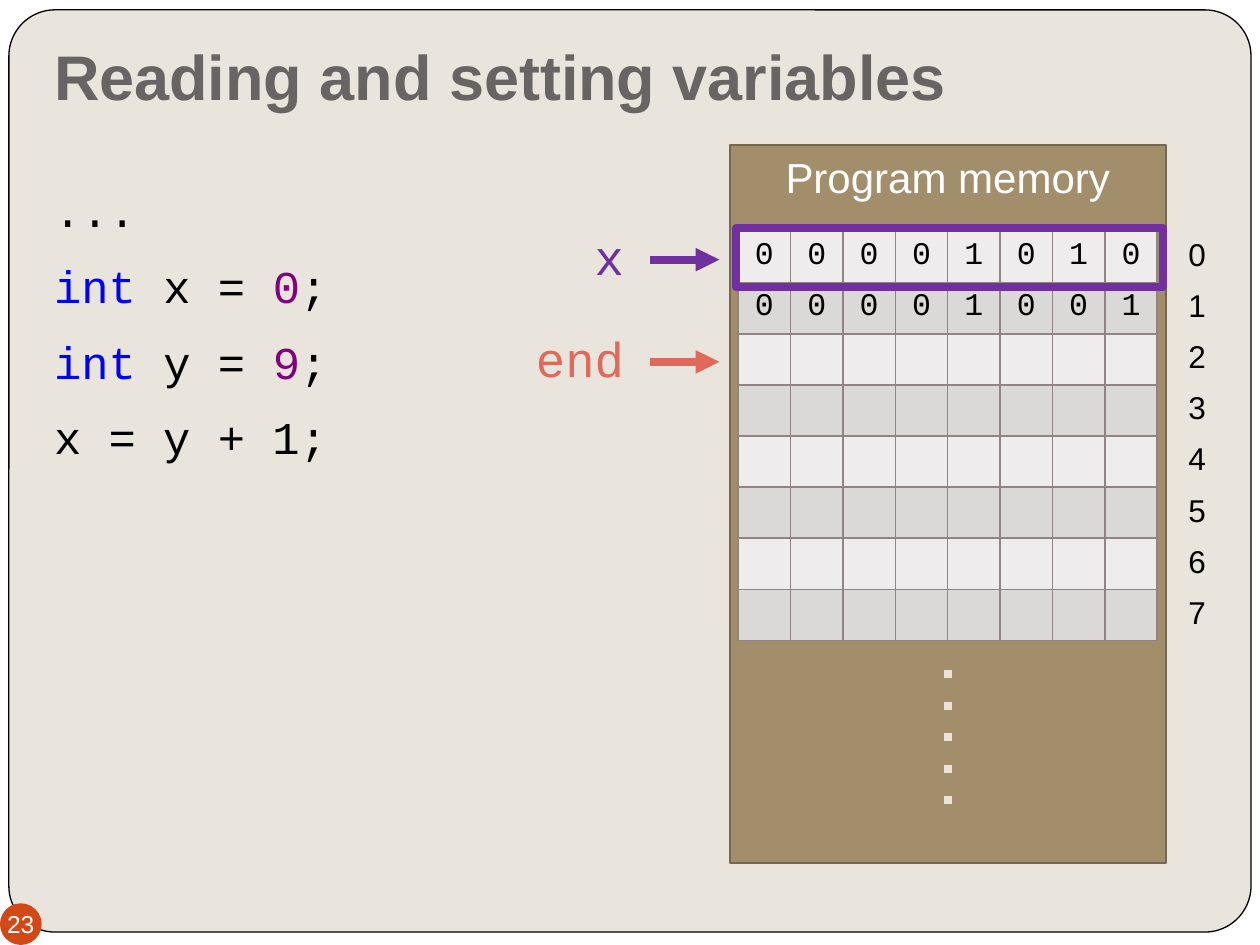
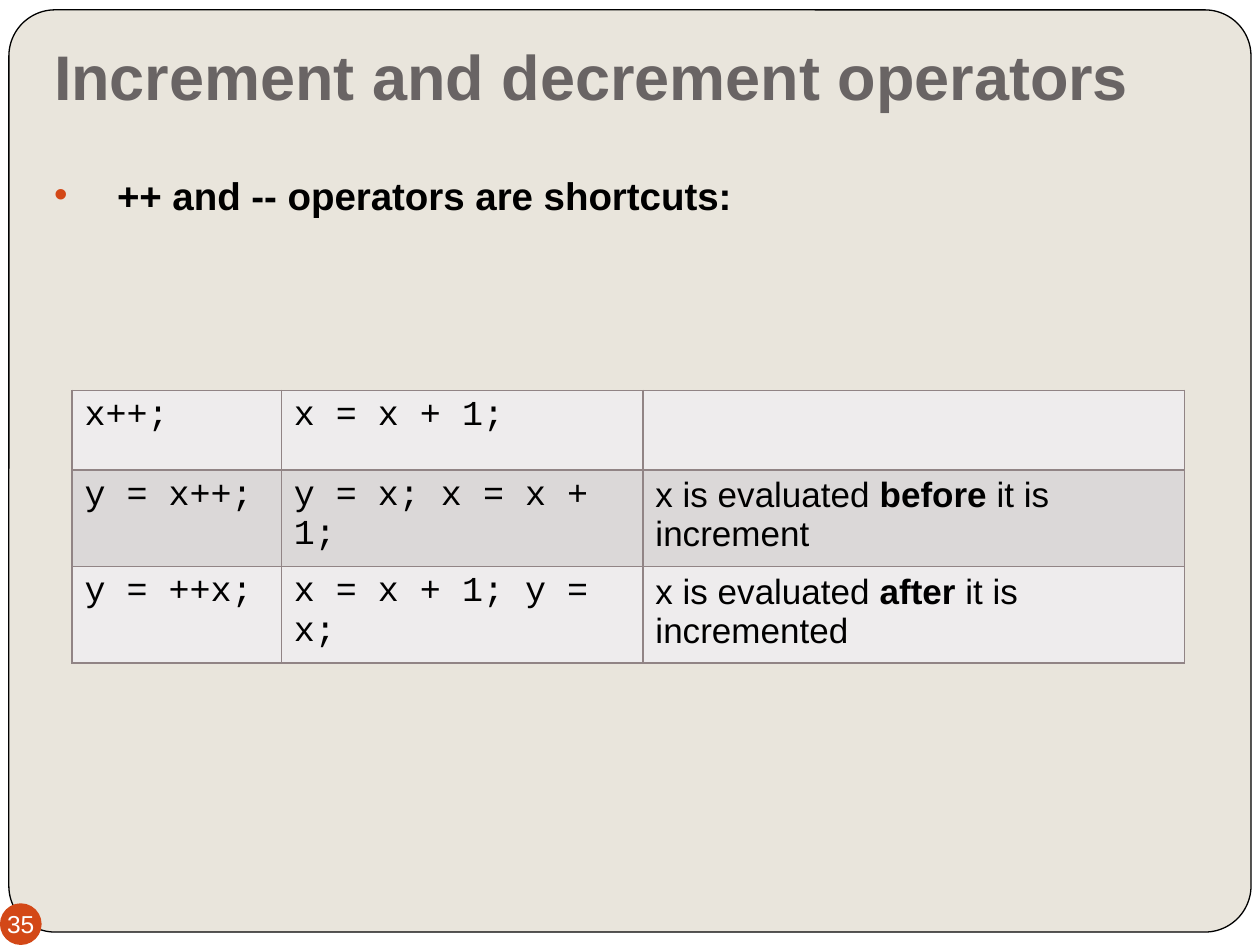
"""Build two slides on C variables: program memory and increment operators."""
from lxml.etree import SubElement
from pptx import Presentation
from pptx.dml.color import RGBColor
from pptx.enum.shapes import MSO_CONNECTOR, MSO_SHAPE as SHAPE
from pptx.enum.text import MSO_ANCHOR as ANCHOR, PP_ALIGN as ALIGN
from pptx.oxml.ns import qn
from pptx.util import Cm, Pt

SANS, MONO = "Arial", "Courier New"
NO_STYLE = "{2D5ABB26-0587-4C30-8999-92F81FD0307C}"
COLORS = {
    "white": "FFFFFF", "black": "000000", "paper": "E9E5DC", "title": "696464",
    "accent": "D34817", "panel": "A28E6A", "panel_edge": "76674D",
    "light": "EEECED", "dark": "DBD8D8", "grid": "918485",
    "keyword": "0000FF", "number": "800080", "purple": "7030A0", "coral": "DF695B",
}

MEMORY = {"title": "Reading and setting variables", "number": "23"}
PANEL_TITLE = "Program memory"
KEYWORD, NUMBER = {"color": "keyword"}, {"color": "number"}
CODE = [
    [("...", {})],
    [("int", KEYWORD), (" x = ", {}), ("0", NUMBER), (";", {})],
    [("int", KEYWORD), (" y = ", {}), ("9", NUMBER), (";", {})],
    [("x = y + 1;", {})],
]
BYTES = ["00001010", "00001001"]
BYTE_COUNT, BIT_COUNT = 8, 8
POINTERS = [("x", "purple", 0), ("end", "coral", 2)]

OPERATORS = {"title": "Increment and decrement operators", "number": "35"}
BULLET = "++ and -- operators are shortcuts:"
PROSE, STRONG = {"font": SANS}, {"font": SANS, "bold": True}
SHORTCUTS = [
    [[("x++;", {})], [("x = x + 1;", {})], []],
    [[("y = x++;", {})], [("y = x; x = x + 1;", {})],
     [("x is evaluated ", PROSE), ("before", STRONG), (" it is increment", PROSE)]],
    [[("y = ++x;", {})], [("x = x + 1; y = x;", {})],
     [("x is evaluated ", PROSE), ("after", STRONG), (" it is incremented", PROSE)]],
]

MARGIN, TEXT_W = 0.84, 23.7
PANEL_X, PANEL_Y, PANEL_W, PANEL_H = 14.71, 2.92, 8.79, 14.48
GRID_Y, GRID_W, ROW_H = 4.67, 8.45, 1.03
PANEL_MID = PANEL_X + PANEL_W / 2


def rgb(name):
    return RGBColor.from_string(COLORS[name])


def write(p, runs, size, font=SANS, color="black", bold=False, align=None):
    p.alignment = align
    for text, style in runs:
        r = p.add_run()
        r.text = text
        r.font.size = Pt(size)
        r.font.name = style.get("font", font)
        r.font.bold = style.get("bold", bold)
        r.font.color.rgb = rgb(style.get("color", color))


def add_text(slide, at, paragraphs, size, anchor=ANCHOR.TOP, **style):
    tf = slide.shapes.add_textbox(*map(Cm, at)).text_frame
    tf.word_wrap = True
    tf.vertical_anchor = anchor
    for i, runs in enumerate(paragraphs):
        write(tf.add_paragraph() if i else tf.paragraphs[0], runs, size, **style)
    return tf


def add_shape(slide, kind, at, fill=None, line=None, width=1):
    sp = slide.shapes.add_shape(kind, *map(Cm, at))
    sp.shadow.inherit = False
    for part, color in ((sp.fill, fill), (sp.line.fill, line)):
        if color:
            part.solid()
            part.fore_color.rgb = rgb(color)
        else:
            part.background()
    if line:
        sp.line.width = Pt(width)
    return sp


def add_line(slide, start, end, color, tag, value):
    cx = slide.shapes.add_connector(MSO_CONNECTOR.STRAIGHT, *map(Cm, start + end))
    cx.line.color.rgb = rgb(color)
    cx.line.width = Pt(4.5)
    spPr = cx._element.spPr
    ln = spPr.find(qn("a:ln"))
    SubElement(ln, qn(tag)).set("val" if tag == "a:prstDash" else "type", value)
    SubElement(spPr, qn("a:effectLst"))


def add_border(cell):
    tcPr = cell._tc.get_or_add_tcPr()
    for side in "LRTB":
        ln = SubElement(tcPr, qn(f"a:ln{side}"), w=str(Pt(1)))
        fill = SubElement(ln, qn("a:solidFill"))
        SubElement(fill, qn("a:srgbClr"), val=COLORS["grid"])


def add_table(slide, x, y, widths, row_h, rows, size, grid=True, **style):
    frame = slide.shapes.add_table(len(rows), len(widths), Cm(x), Cm(y),
                                   Cm(sum(widths)), Cm(row_h * len(rows)))
    table = frame.table
    table.first_row = table.horz_banding = False
    table._tbl.tblPr.find(qn("a:tableStyleId")).text = NO_STYLE
    for column, width in zip(table.columns, widths):
        column.width = Cm(width)
    for i, row in enumerate(rows):
        table.rows[i].height = Cm(row_h)
        for cell, runs in zip(table.rows[i].cells, row):
            if grid:
                add_border(cell)
                cell.fill.solid()
                cell.fill.fore_color.rgb = rgb("dark" if i % 2 else "light")
            else:
                cell.fill.background()
            write(cell.text_frame.paragraphs[0], runs, size, **style)


def add_slide(prs, title, number):
    slide = prs.slides.add_slide(prs.slide_layouts[6])
    slide.background.fill.solid()
    slide.background.fill.fore_color.rgb = rgb("white")
    card = add_shape(slide, SHAPE.ROUNDED_RECTANGLE, (0.18, 0.2, 25.04, 18.59),
                     "paper", "black", 0.75)
    card.adjustments[0] = 0.05
    tf = add_text(slide, (MARGIN, 0.76, TEXT_W, 1.78), [[(title, {})]], 36,
                  ANCHOR.BOTTOM, color="title", bold=True)
    tf.margin_bottom = Cm(0.25)
    badge = add_shape(slide, SHAPE.OVAL, (0, 18.21, 0.84, 0.84), "accent")
    tf = badge.text_frame
    tf.margin_left = tf.margin_right = tf.margin_top = tf.margin_bottom = 0
    tf.vertical_anchor = ANCHOR.MIDDLE
    tf.word_wrap = False
    write(tf.paragraphs[0], [(number, {})], 14, color="white", align=ALIGN.CENTER)
    return slide


def build_memory(prs):
    slide = add_slide(prs, **MEMORY)
    panel = add_shape(slide, SHAPE.RECTANGLE, (PANEL_X, PANEL_Y, PANEL_W, PANEL_H),
                      "panel", "panel_edge")
    panel.text_frame.vertical_anchor = ANCHOR.TOP
    write(panel.text_frame.paragraphs[0], [(PANEL_TITLE, {})], 24,
          color="white", align=ALIGN.CENTER)

    code = add_text(slide, (MARGIN, 3.33, 6.25, 12.7), CODE, 26, font=MONO)
    for i, p in enumerate(code.paragraphs):
        p.line_spacing = 1.2
        p.space_before = Pt(5.8 if i else 0)

    bits = [[[(bit, {})] for bit in byte] for byte in BYTES]
    bits += [[[]] * BIT_COUNT] * (BYTE_COUNT - len(BYTES))
    add_table(slide, PANEL_MID - GRID_W / 2, GRID_Y, [GRID_W / BIT_COUNT] * BIT_COUNT,
              ROW_H, bits, 18, font=MONO, align=ALIGN.CENTER)
    add_line(slide, (PANEL_MID, 13.51), (PANEL_MID, 16.54), "paper", "a:prstDash", "dot")
    add_shape(slide, SHAPE.RECTANGLE, (14.83, 4.6, 8.61, 1.19), line="purple", width=4.5)
    addresses = [[[(str(i), {})]] for i in range(BYTE_COUNT)]
    add_table(slide, 23.7, GRID_Y, [0.86], ROW_H, addresses, 18, grid=False,
              align=ALIGN.RIGHT)

    for name, color, row in POINTERS:
        y = GRID_Y + ROW_H * (row + 0.5) + 0.05
        add_line(slide, (13.11, y), (14.5, y), color, "a:tailEnd", "triangle")
        add_text(slide, (10.49, y - 0.79, 2.34, 1.45), [[(name, {})]], 28,
                 font=MONO, color=color, align=ALIGN.RIGHT)


def build_operators(prs):
    slide = add_slide(prs, **OPERATORS)
    tf = add_text(slide, (MARGIN, 2.87, TEXT_W, 4.34), [[(BULLET, {})]], 22, bold=True)
    p = tf.paragraphs[0]
    p.line_spacing = 1.5
    pPr = p._p.get_or_add_pPr()
    pPr.set("marL", str(Cm(1.27)))
    pPr.set("indent", str(-Cm(1.27)))
    SubElement(SubElement(pPr, qn("a:buClr")), qn("a:srgbClr"), val=COLORS["accent"])
    SubElement(pPr, qn("a:buFont"), typeface=SANS)
    SubElement(pPr, qn("a:buChar"), char="•")
    add_table(slide, 1.45, 7.87, [4.22, 7.29, 10.92], 1.6, SHORTCUTS, 20, font=MONO)


def main():
    prs = Presentation()
    prs.slide_width, prs.slide_height = Cm(25.4), Cm(19.05)
    build_memory(prs)
    build_operators(prs)
    prs.save("out.pptx")


if __name__ == "__main__":
    main()
